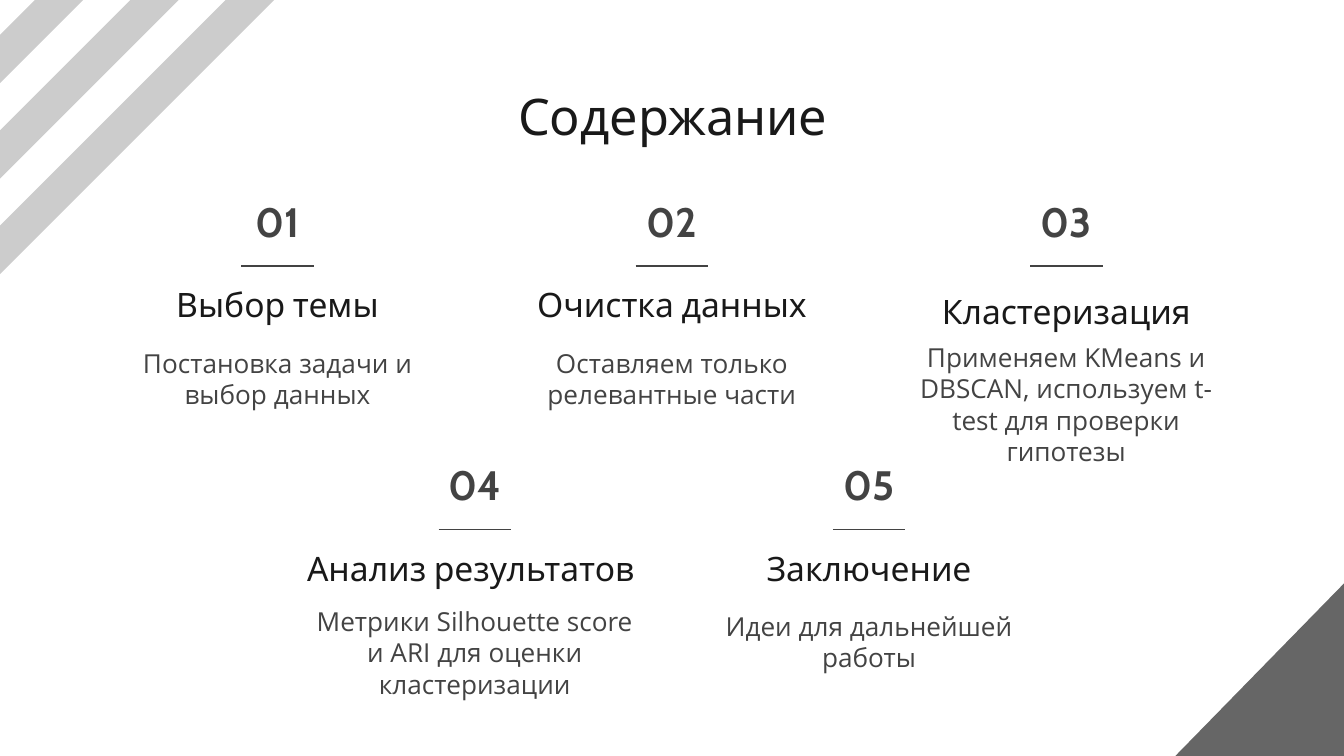
from dataclasses import dataclass

from lxml import etree
from pptx import Presentation, util as u
from pptx.dml.color import RGBColor
from pptx.enum import shapes, text
from pptx.oxml.ns import qn

WIDE = 10
HIGH = WIDE * 9 / 16
MID = WIDE / 2
STEP = 1.467            # half the distance between neighbouring columns
ROWS = (1.38, 3.34)     # tops of the two rows

INK = RGBColor(0x19, 0x19, 0x19)
GREY = RGBColor(0x43, 0x43, 0x43)
PALE = RGBColor(0xCC, 0xCC, 0xCC)
DARK = RGBColor(0x66, 0x66, 0x66)


@dataclass(frozen=True)
class Style:
    font: str
    size: float
    color: RGBColor
    bold: bool = False


TITLE = Style("Cabin", 27, INK)
HEAD = Style("Cabin", 18, INK)
NUMBER = Style("Cabin", 22, GREY, bold=True)
BODY = Style("Open Sans", 14, GREY)


@dataclass(frozen=True)
class Topic:
    col: int            # in half columns from the middle
    row: int
    head: str
    body: str
    tall: float = 0.53
    drop: float = 0
    wide: float = 2.56
    shift: float = 0


TOPICS = (
    Topic(-2, 0, "Выбор темы", "Постановка задачи и выбор данных"),
    Topic(0, 0, "Очистка данных", "Оставляем только релевантные части"),
    Topic(2, 0, "Кластеризация",
          "Применяем KMeans и DBSCAN, используем t-test для проверки гипотезы",
          tall=0.91, drop=0.05),
    Topic(-1, 1, "Анализ результатов",
          "Метрики Silhouette score и ARI для оценки кластеризации",
          tall=0.69, wide=2.85, shift=-0.03),
    Topic(1, 1, "Заключение", "Идеи для дальнейшей работы"),
)


def write(box, words: str, style: Style) -> None:
    frame = box.text_frame
    frame.text = words
    frame.word_wrap = True
    frame.auto_size = text.MSO_AUTO_SIZE.NONE
    frame.vertical_anchor = text.MSO_ANCHOR.MIDDLE
    frame.margin_left = frame.margin_right = u.Inches(0.1)
    frame.margin_top = frame.margin_bottom = u.Inches(0.1)
    para = frame.paragraphs[0]
    para.alignment = text.PP_ALIGN.CENTER
    para.line_spacing = 1.0
    font = para.runs[0].font
    font.name, font.size, font.bold = style.font, u.Pt(style.size), style.bold
    font.color.rgb = style.color


def label(slide, mid: float, top: float, wide: float, tall: float,
          words: str, style: Style) -> None:
    """Add a text box centred on mid."""
    box = slide.shapes.add_textbox(
        u.Inches(mid - wide / 2), u.Inches(top), u.Inches(wide), u.Inches(tall))
    write(box, words, style)


def rule(slide, mid: float, y: float, wide: float = 0.54) -> None:
    line = slide.shapes.add_connector(
        shapes.MSO_CONNECTOR.STRAIGHT, u.Inches(mid - wide / 2), u.Inches(y),
        u.Inches(mid + wide / 2), u.Inches(y))
    line.line.color.rgb = GREY
    line.line.width = u.Pt(0.75)
    etree.SubElement(line._element.spPr, qn("a:effectLst"))


def paint(shape, color: RGBColor) -> None:
    shape.shadow.inherit = False
    shape.fill.solid()
    shape.fill.fore_color.rgb = color
    shape.line.fill.background()


def stripe(slide, start: float, wide: float = 0.36) -> None:
    """Add a diagonal band that meets the top and left edges at start."""
    left, top = -0.53, -0.39
    end = start + wide
    pen = slide.shapes.build_freeform(
        u.Inches(start - top), u.Inches(top), scale=1.0)
    pen.add_line_segments(
        [(u.Inches(x), u.Inches(y)) for x, y in
         ((left, start - left), (left, end - left), (end - top, top))],
        close=True)
    paint(pen.convert_to_shape(), PALE)


def corner(slide) -> None:
    shape = slide.shapes.add_shape(
        shapes.MSO_SHAPE.RIGHT_TRIANGLE, u.Inches(8.73), u.Inches(4.3),
        u.Inches(1.34), u.Inches(1.31))
    shape.rotation = 270
    paint(shape, DARK)


def entry(slide, rank: int, topic: Topic) -> None:
    mid, top = MID + topic.col * STEP, ROWS[topic.row]
    label(slide, mid + topic.shift, top + 0.65 + topic.drop, topic.wide, 0.47,
          topic.head, HEAD)
    label(slide, mid, top, 1.39, 0.53, f"{rank:02}", NUMBER)
    label(slide, mid, top + 1.17, 2.56, topic.tall, topic.body, BODY)
    rule(slide, mid, top + 0.6)


def main() -> None:
    deck = Presentation()
    deck.slide_width, deck.slide_height = u.Inches(WIDE), u.Inches(HIGH)
    slide = deck.slides.add_slide(deck.slide_layouts.get_by_name("Title Only"))
    corner(slide)
    for turn in (0, 1, 2):
        stripe(slide, 0.26 + 0.71 * turn)
    title = slide.shapes.title
    title.left, title.top = u.Inches(0.79), u.Inches(0.59)
    title.width, title.height = u.Inches(8.43), u.Inches(0.53)
    write(title, "Содержание", TITLE)
    for rank, topic in enumerate(TOPICS, 1):
        entry(slide, rank, topic)
    deck.save("out.pptx")


if __name__ == "__main__":
    main()
